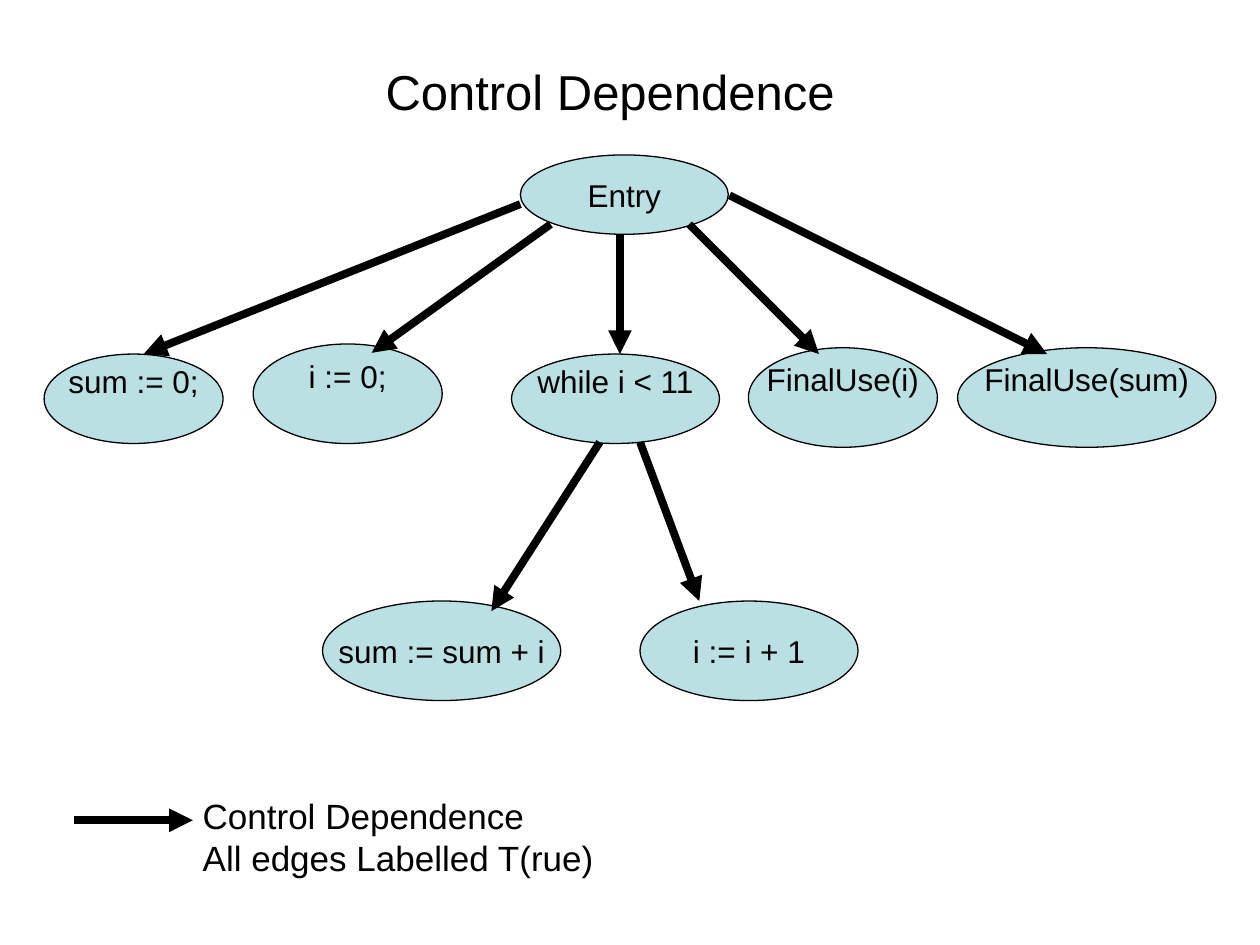
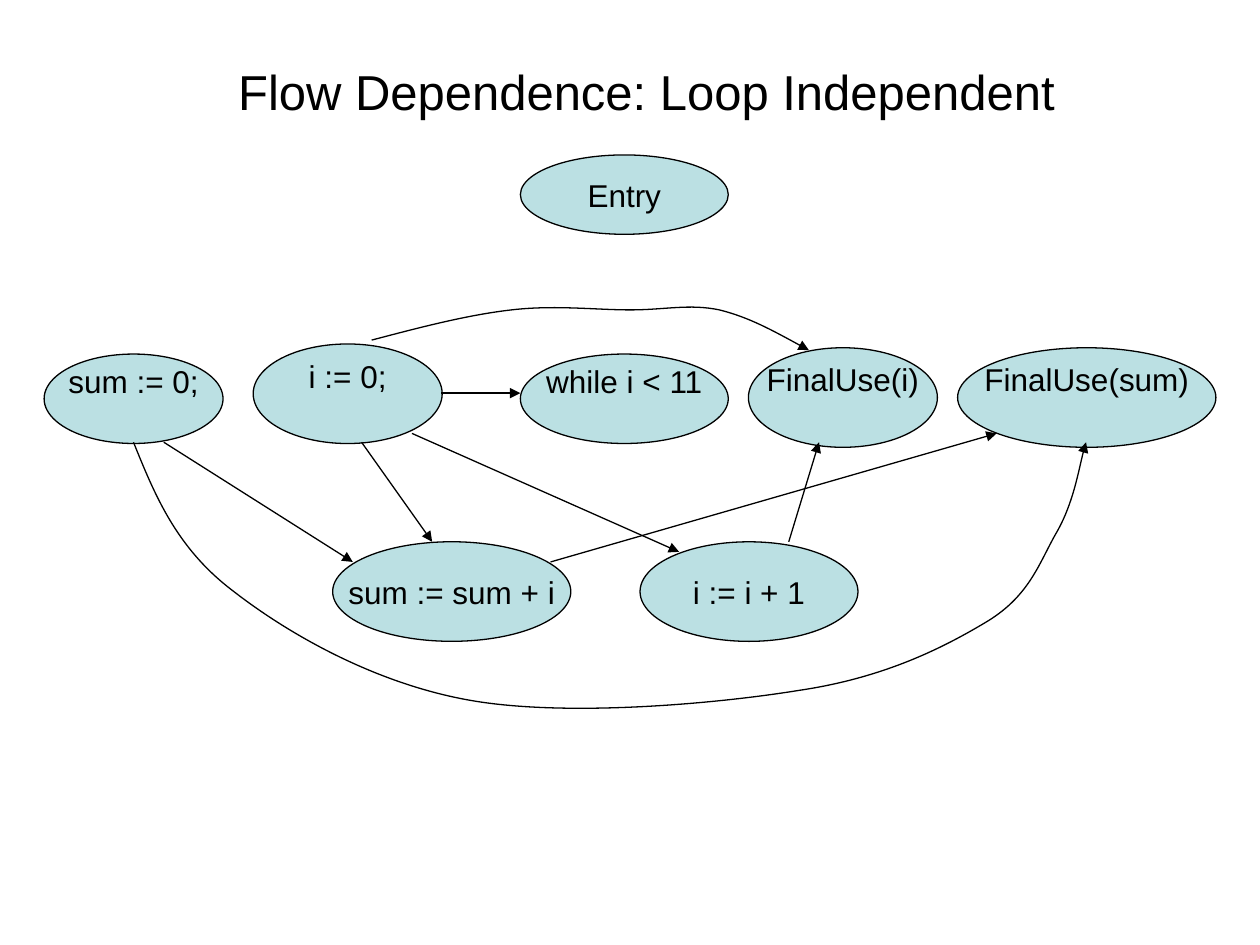
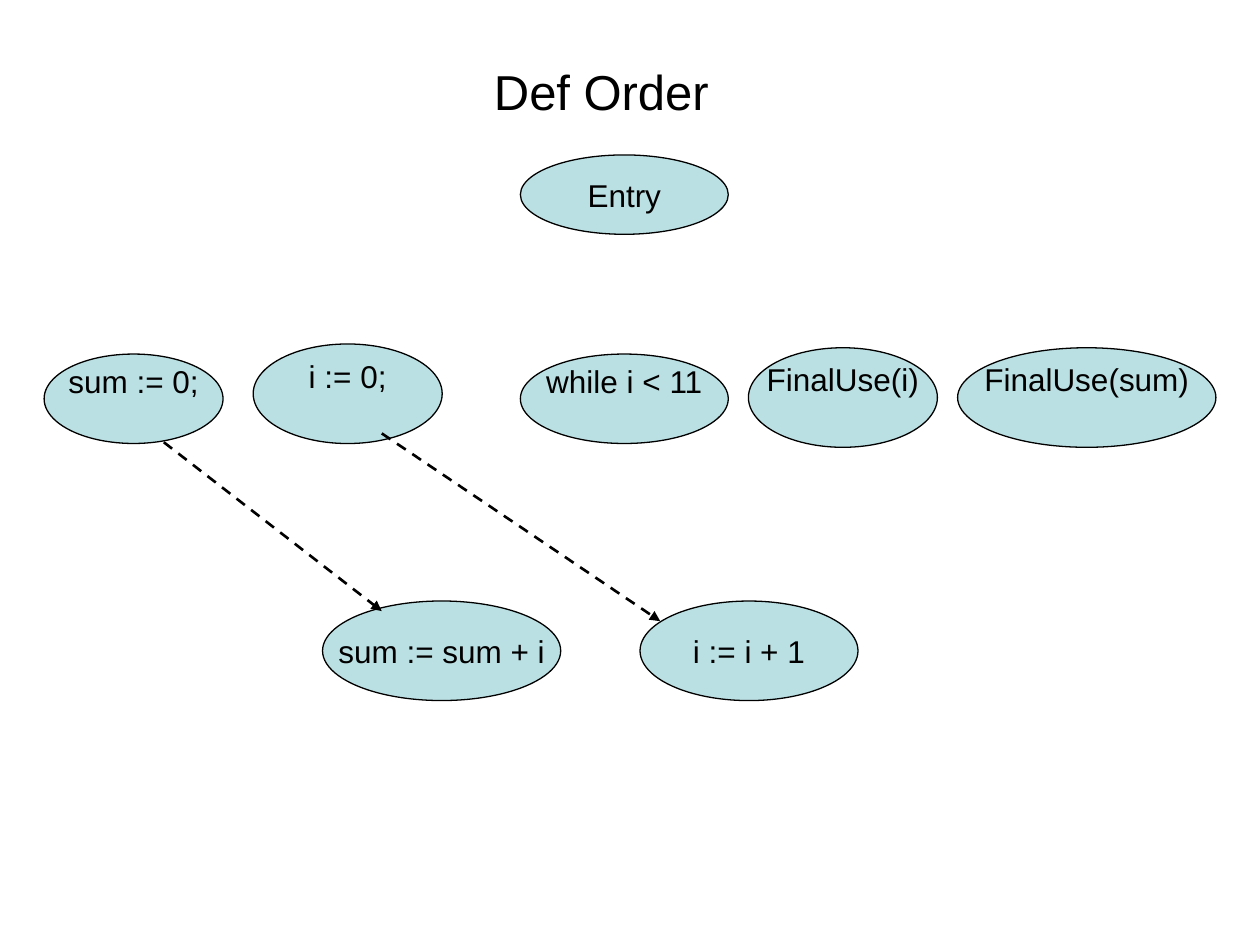
"""Build three slides that show dependence graphs of one small loop program."""
from dataclasses import dataclass

from pptx import Presentation
from pptx.dml.color import RGBColor as Rgb
from pptx.enum.dml import MSO_LINE as Dash
from pptx.enum.shapes import MSO_CONNECTOR as Link, MSO_SHAPE as Form
from pptx.enum.text import MSO_ANCHOR as Anchor, MSO_AUTO_SIZE as Fit, PP_ALIGN as Align
from pptx.oxml.ns import qn
from pptx.util import Inches, Pt
from lxml.etree import SubElement


@dataclass(frozen=True)
class Theme:
    """Colours, font and sizes that all slides share."""
    ink: Rgb = Rgb(0, 0, 0)
    node: Rgb = Rgb(0xBB, 0xE0, 0xE3)
    font: str = "Arial"
    title: int = 28
    legend: int = 20
    label: int = 18
    thin: float = 0.75
    dashed: float = 1.5
    thick: float = 4.5


THEME = Theme()
TITLE_TOP, TITLE_HIGH = 0.44, 0.57
SIDE, PAD, RAISED_PAD = 0.1, 0.05, 0.34

NODES = {
    "Entry": (4.13, 1.23, 1.65, 0.63),
    "sum := 0;": (0.35, 2.81, 1.42, 0.71),
    "i := 0;": (2.01, 2.73, 1.5, 0.79),
    "while i < 11": (4.13, 2.81, 1.65, 0.71),
    "FinalUse(i)": (5.94, 2.76, 1.5, 0.79),
    "FinalUse(sum)": (7.6, 2.76, 2.05, 0.79),
    "sum := sum + i": (2.56, 4.77, 1.89, 0.79),
    "i := i + 1": (5.08, 4.77, 1.73, 0.79),
}
RAISED = ("sum := 0;", "i := 0;", "while i < 11", "FinalUse(i)", "FinalUse(sum)")

SLIDES = [
    {
        "title": ("Control Dependence", 2.96, 3.76),
        "moved": {"while i < 11": (4.06, 2.81)},
        "weight": THEME.thick,
        "edges": [
            ((4.13, 1.62), (1.14, 2.81)),
            ((4.37, 1.78), (2.95, 2.8)),
            ((4.92, 1.86), (4.92, 2.81)),
            ((5.47, 1.78), (6.5, 2.81)),
            ((5.79, 1.55), (8.31, 2.81)),
            ((4.76, 3.51), (3.9, 4.85)),
            ((5.08, 3.51), (5.55, 4.77)),
            ((0.59, 6.51), (1.53, 6.51)),
        ],
        "legend": ["Control Dependence", "All edges Labelled T(rue)"],
    },
    {
        "title": ("Flow Dependence: Loop Independent", 1.79, 6.67),
        "moved": {"sum := sum + i": (2.64, 4.3), "i := i + 1": (5.08, 4.3)},
        "weight": THEME.thin,
        "edges": [
            ((6.26, 4.3), (6.5, 3.51)),
            ((1.3, 3.51), (2.8, 4.46)),
            ((2.87, 3.51), (3.43, 4.3)),
            ((3.5, 3.12), (4.13, 3.12)),
            ((3.27, 3.44), (5.39, 4.38)),
            ((4.37, 4.46), (7.91, 3.44)),
        ],
        "curves": [
            [(1.06, 3.51),
             (1.23, 3.93), (1.4, 4.35), (1.85, 4.69),
             (2.3, 5.04), (2.99, 5.43), (3.74, 5.56),
             (4.49, 5.69), (5.66, 5.59), (6.34, 5.48),
             (7.02, 5.38), (7.49, 5.14), (7.84, 4.93),
             (8.18, 4.72), (8.25, 4.46), (8.39, 4.22),
             (8.52, 3.99), (8.58, 3.63), (8.62, 3.51)],
            [(2.95, 2.7),
             (3.33, 2.6), (3.71, 2.5), (4.06, 2.46),
             (4.4, 2.42), (4.73, 2.46), (5, 2.46),
             (5.28, 2.46), (5.47, 2.41), (5.71, 2.46),
             (5.95, 2.52), (6.18, 2.65), (6.42, 2.78)],
        ],
    },
    {
        "title": ("Def Order", 3.82, 1.9),
        "moved": {},
        "weight": THEME.dashed,
        "dash": Dash.DASH,
        "edges": [
            ((1.3, 3.51), (3.03, 4.85)),
            ((3.03, 3.44), (5.24, 4.93)),
        ],
    },
]


def apply(item, values):
    """Set each named attribute of an item."""
    for name, value in values.items():
        setattr(item, name, value)


def write(shape, lines, size, align=Align.LEFT, anchor=Anchor.TOP, fit=Fit.NONE,
          right=SIDE, base=PAD):
    """Fill a shape with lines of text in the shared font."""
    frame = shape.text_frame
    frame.text = "\n".join(lines)
    apply(frame, {
        "word_wrap": False, "auto_size": fit, "vertical_anchor": anchor,
        "margin_left": Inches(SIDE), "margin_right": Inches(right),
        "margin_top": Inches(PAD), "margin_bottom": Inches(base),
    })
    for para in frame.paragraphs:
        para.alignment = align
        for run in para.runs:
            apply(run.font, {"name": THEME.font, "size": Pt(size), "bold": False})
            run.font.color.rgb = THEME.ink


def stroke(line, weight, dash=None):
    """Give a line the shared ink and a weight."""
    line.color.rgb = THEME.ink
    line.width = Pt(weight)
    if dash:
        line.dash_style = dash


def point(shape):
    """End a line with a triangle."""
    SubElement(shape.line._get_or_add_ln(), qn("a:tailEnd"), type="triangle")


def add_title(slide, text, left, width):
    """Place and format the title, with no right margin so that it stays on one line."""
    title = slide.shapes.title
    apply(title, {
        "left": Inches(left), "top": Inches(TITLE_TOP),
        "width": Inches(width), "height": Inches(TITLE_HIGH),
    })
    write(title, [text], THEME.title, right=0)


def add_node(slide, text, box):
    """Draw one node of the graph."""
    node = slide.shapes.add_shape(Form.OVAL, *map(Inches, box))
    node.shadow.inherit = False
    node.fill.solid()
    node.fill.fore_color.rgb = THEME.node
    stroke(node.line, THEME.thin)
    base = RAISED_PAD if text in RAISED else PAD
    write(node, [text], THEME.label, Align.CENTER, Anchor.MIDDLE, base=base)


def add_edge(slide, start, end, weight, dash):
    """Draw a straight arrow."""
    edge = slide.shapes.add_connector(Link.STRAIGHT, *map(Inches, start + end))
    stroke(edge.line, weight, dash)
    point(edge)
    SubElement(edge._element.spPr, qn("a:effectLst"))


def add_curve(slide, points):
    """Draw a curved arrow from a start and triples of Bezier points."""
    start, *rest = [(Inches(x), Inches(y)) for x, y in points]
    pen = slide.shapes.build_freeform(*start)
    pen.add_line_segments(rest, close=False)
    curve = pen.convert_to_shape()
    curve.shadow.inherit = False
    curve.fill.background()
    stroke(curve.line, THEME.thin)
    point(curve)
    track = next(curve._element.iter(qn("a:path")))
    steps = track.findall(qn("a:lnTo"))
    for i in range(0, len(steps), 3):
        bend = SubElement(track, qn("a:cubicBezTo"))
        for step in steps[i:i + 3]:
            bend.append(step[0])
            track.remove(step)


def add_legend(slide, lines):
    """Explain the arrows."""
    box = slide.shapes.add_textbox(*map(Inches, (1.51, 6.26, 3.31, 0.77)))
    write(box, lines, THEME.legend, fit=Fit.SHAPE_TO_FIT_TEXT)


def main():
    """Build and save the slides."""
    deck = Presentation()
    apply(deck, {"slide_width": Inches(10), "slide_height": Inches(7.5)})
    for graph in SLIDES:
        slide = deck.slides.add_slide(deck.slide_layouts[5])
        add_title(slide, *graph["title"])
        for text, box in NODES.items():
            spot = graph["moved"].get(text, box[:2])
            add_node(slide, text, spot + box[2:])
        for start, end in graph["edges"]:
            add_edge(slide, start, end, graph["weight"], graph.get("dash"))
        for points in graph.get("curves", []):
            add_curve(slide, points)
        if "legend" in graph:
            add_legend(slide, graph["legend"])
    deck.save("out.pptx")


if __name__ == "__main__":
    main()
